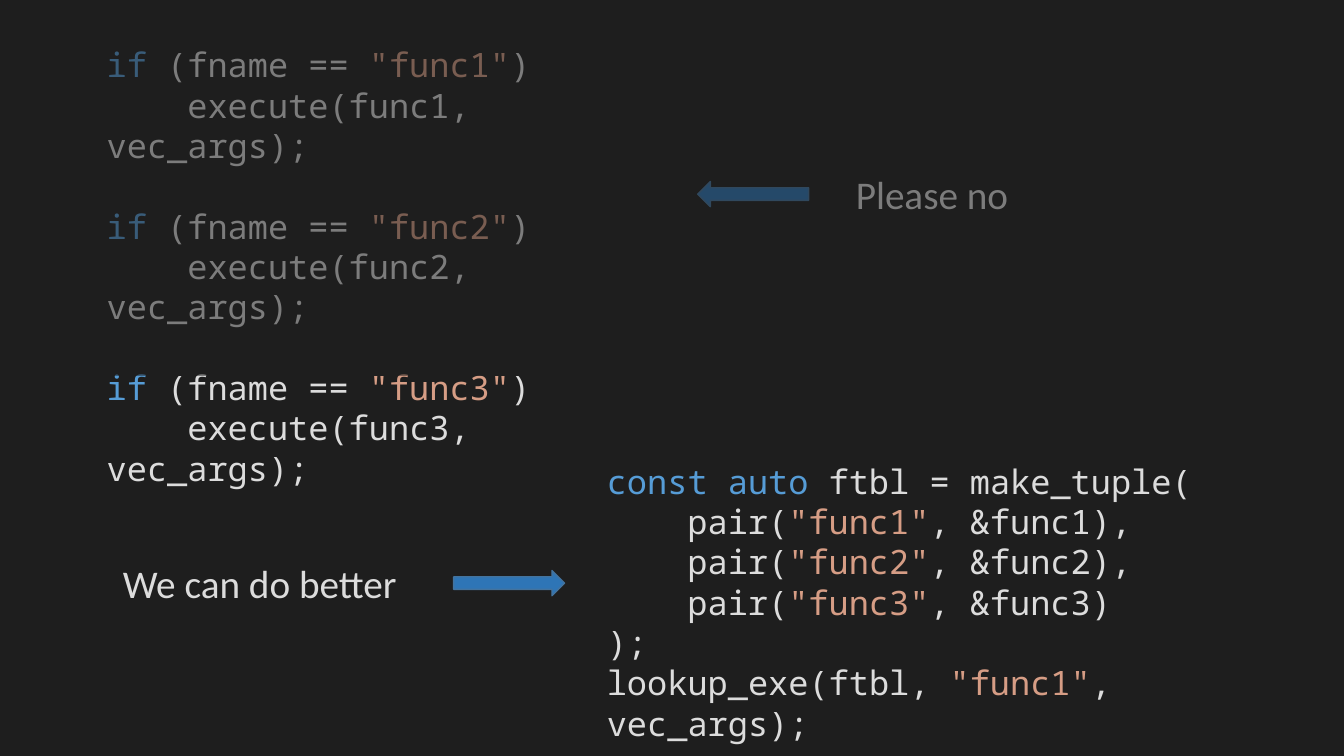
from dataclasses import dataclass

from lxml import etree
from pptx import Presentation
from pptx.dml.color import RGBColor
from pptx.enum.shapes import MSO_SHAPE
from pptx.enum.text import MSO_AUTO_SIZE
from pptx.oxml.ns import qn
from pptx.util import Inches, Pt

RIGHT_ARROW = MSO_SHAPE.RIGHT_ARROW
RECTANGLE = MSO_SHAPE.RECTANGLE
FIT_SHAPE = MSO_AUTO_SIZE.SHAPE_TO_FIT_TEXT


@dataclass(frozen=True)
class Theme:
    background: str = "1E1E1E"
    plain: str = "DCDCDC"
    keyword: str = "569CD6"
    string: str = "D69D85"
    arrow: str = "2E75B6"
    arrow_line: str = "43739E"
    code_font: str = "Noto Sans Mono"
    label_font: str = "Calibri"
    code_size: int = 24
    label_size: int = 28
    code_indent: float = 0.8
    block_gap: float = 28.8


THEME = Theme()

# Content: a code line is (indented, starts a new block, [(text, colour), ...])
FUNCTIONS = ["func1", "func2", "func3"]


def quoted(name):
    return (f'"{name}"', THEME.string)


if_chain = []
for number, name in enumerate(FUNCTIONS):
    if_chain += [
        (False, number > 0, [("if", THEME.keyword), (" (fname == ", THEME.plain),
                             quoted(name), (")", THEME.plain)]),
        (True, False, [(f"execute({name}, vec_args);", THEME.plain)]),
    ]

function_table = [
    (False, False, [("const auto ", THEME.keyword), ("ftbl = make_tuple(", THEME.plain)])
]
for name in FUNCTIONS:
    ending = ")" if name == FUNCTIONS[-1] else "),"
    function_table.append(
        (True, False, [("pair(", THEME.plain), quoted(name),
                       (f", &{name}{ending}", THEME.plain)]))
function_table += [
    (False, False, [(");", THEME.plain)]),
    (False, False, [("lookup_exe(ftbl, ", THEME.plain), quoted("func1"),
                    (", vec_args);", THEME.plain)]),
]

# Places: left, top, width, height
CODE_BLOCKS = [
    (function_table, (5.92, 4.52, 6.89, 2.52)),
    (if_chain, (0.96, 0.39, 5.59, 3.64)),
]
# Label, label place, arrow place, arrow rotation
REMARKS = [
    ("We can do better", (1.12, 5.5, 3.38, 0.57), (4.5, 5.66, 1.1, 0.25), 0),
    ("Please no", (8.39, 1.64, 2.23, 0.57), (6.92, 1.8, 1.1, 0.25), 180),
]
DIMMER_PLACE = (0.7, 0.2, 12.44, 3.53)
DIMMER_OPACITY = 50

presentation = Presentation()
presentation.slide_width = Inches(13.33)
presentation.slide_height = Inches(7.5)
slide = presentation.slides.add_slide(presentation.slide_layouts[6])
slide.background.fill.solid()
slide.background.fill.fore_color.rgb = RGBColor.from_string(THEME.background)


def add_text_frame(place):
    frame = slide.shapes.add_textbox(*map(Inches, place)).text_frame
    frame.word_wrap = True
    frame.auto_size = FIT_SHAPE
    return frame


def add_shape(kind, place, color):
    shape = slide.shapes.add_shape(kind, *map(Inches, place))
    shape.shadow.inherit = False
    shape.fill.solid()
    shape.fill.fore_color.rgb = RGBColor.from_string(color)
    return shape


def add_code(lines, place):
    frame = add_text_frame(place)
    for number, (indented, new_block, tokens) in enumerate(lines):
        paragraph = frame.add_paragraph() if number else frame.paragraphs[0]
        paragraph.font.name = THEME.code_font
        paragraph.font.size = Pt(THEME.code_size)
        if new_block:
            paragraph.space_before = Pt(THEME.block_gap)
        if indented:
            # First-line indent only, so wrapped text returns to the margin
            properties = paragraph._p.get_or_add_pPr()
            properties.set("marL", "0")
            properties.set("indent", str(Inches(THEME.code_indent)))
        for text, color in tokens:
            run = paragraph.add_run()
            run.text = text
            run.font.color.rgb = RGBColor.from_string(color)


def add_remark(label, label_place, arrow_place, rotation):
    paragraph = add_text_frame(label_place).paragraphs[0]
    paragraph.text = label
    paragraph.font.name = THEME.label_font
    paragraph.font.size = Pt(THEME.label_size)
    paragraph.font.color.rgb = RGBColor.from_string(THEME.plain)
    arrow = add_shape(RIGHT_ARROW, arrow_place, THEME.arrow)
    arrow.rotation = rotation
    arrow.line.color.rgb = RGBColor.from_string(THEME.arrow_line)
    arrow.line.width = Pt(1)


# Code and remarks
for lines, place in CODE_BLOCKS:
    add_code(lines, place)
for remark in REMARKS:
    add_remark(*remark)

# Translucent cover that dims the discouraged code
dimmer = add_shape(RECTANGLE, DIMMER_PLACE, THEME.background)
dimmer.line.fill.background()
fill_color = dimmer.fill._xPr.find(qn("a:solidFill"))[0]
etree.SubElement(fill_color, qn("a:alpha")).set("val", str(DIMMER_OPACITY * 1000))

presentation.save("out.pptx")
